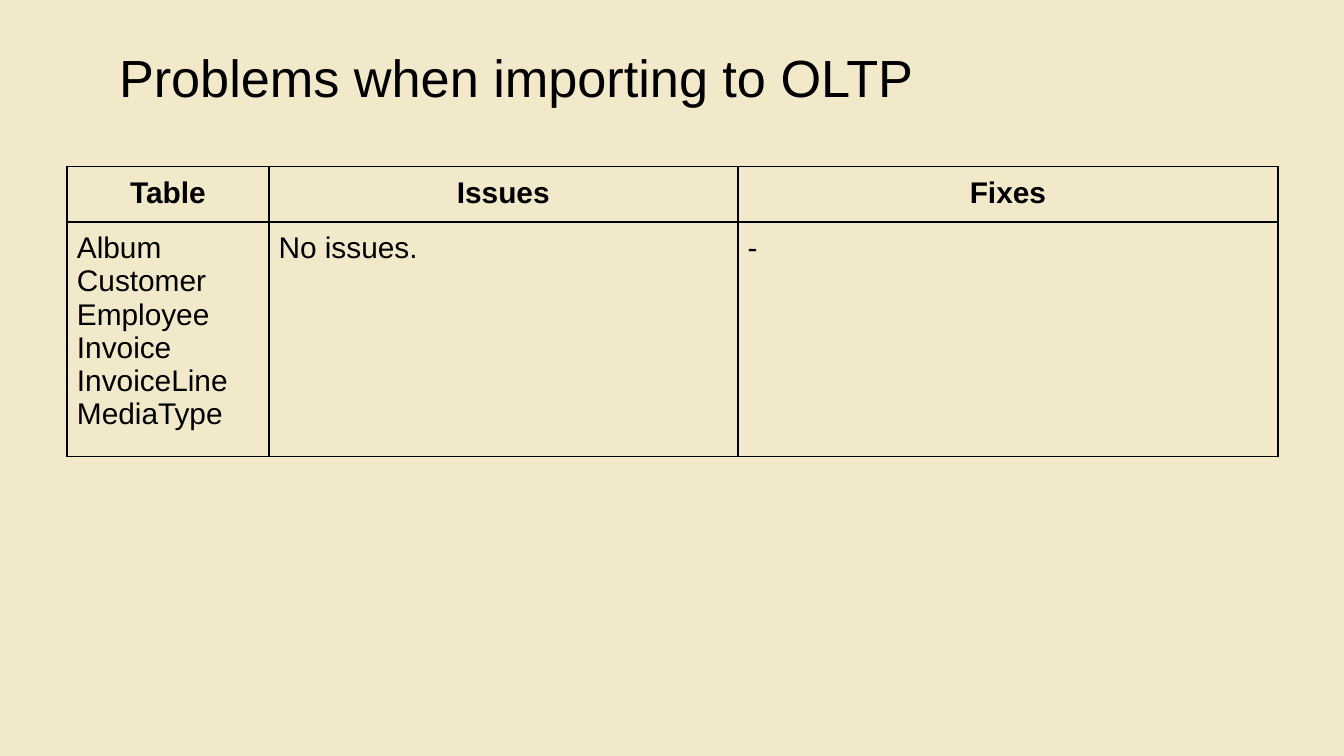
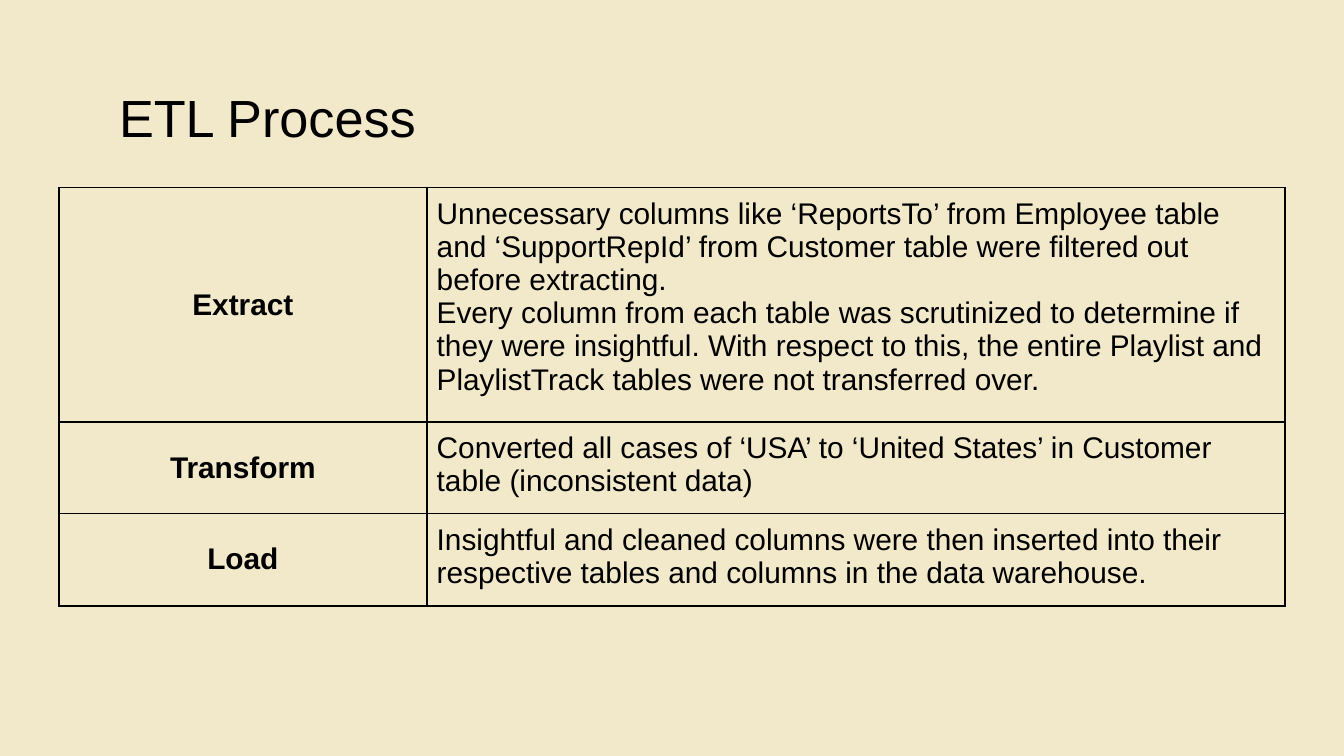
from dataclasses import dataclass

from lxml import etree
from pptx import Presentation
from pptx.dml.color import RGBColor
from pptx.enum.text import MSO_ANCHOR, PP_ALIGN
from pptx.oxml.ns import qn
from pptx.util import Emu, Pt

LEFT, CENTER = PP_ALIGN.LEFT, PP_ALIGN.CENTER
TOP, MIDDLE = MSO_ANCHOR.TOP, MSO_ANCHOR.MIDDLE

SAND = RGBColor(0xF2, 0xE9, 0xCA)
BLACK = RGBColor(0x00, 0x00, 0x00)
FONT = "Arial"
TITLE_SIZE, CELL_SIZE = Pt(28), Pt(16)
BORDER_WIDTH = Pt(1)

EMU_PER_PX = 9525
SLIDE_W, SLIDE_H = 960, 540
TITLE_X, TITLE_W, TITLE_H = 75, 809, 60
TITLE_INSET, CELL_INSET = 10, 7


@dataclass(frozen=True)
class Cell:
    lines: tuple[str, ...]
    heading: bool = False
    anchor: MSO_ANCHOR = TOP


@dataclass(frozen=True)
class TableSlide:
    title: str
    title_y: int
    x: int
    y: int
    height: int
    col_widths: tuple[int, ...]
    row_heights: tuple[int, ...]
    rows: tuple[tuple[Cell, ...], ...]


def column_head(text: str) -> Cell:
    return Cell((text,), heading=True)


def row_head(text: str) -> Cell:
    return Cell((text,), heading=True, anchor=MIDDLE)


def body(*lines: str) -> Cell:
    return Cell(lines)


SLIDES = (
    TableSlide(
        "Problems when importing to OLTP", 19,
        48, 119, 205, (144, 335, 386), (26, 49),
        (
            (column_head("Table"), column_head("Issues"), column_head("Fixes")),
            (
                body("Album", "Customer", "Employee", "Invoice", "InvoiceLine", "MediaType"),
                body("No issues."),
                body("-"),
            ),
        ),
    ),
    TableSlide(
        "ETL Process", 47,
        42, 134, 298, (263, 613), (125, 48, 66),
        (
            (
                row_head("Extract"),
                body(
                    "Unnecessary columns like ‘ReportsTo’ from Employee table and "
                    "‘SupportRepId’ from Customer table were filtered out before extracting.",
                    "Every column from each table was scrutinized to determine if they were "
                    "insightful. With respect to this, the entire Playlist and PlaylistTrack "
                    "tables were not transferred over.",
                ),
            ),
            (
                row_head("Transform"),
                body("Converted all cases of ‘USA’ to ‘United States’ in Customer table "
                     "(inconsistent data)"),
            ),
            (
                row_head("Load"),
                body("Insightful and cleaned columns were then inserted into their "
                     "respective tables and columns in the data warehouse."),
            ),
        ),
    ),
)


def px(n: int) -> Emu:
    return Emu(n * EMU_PER_PX)


def set_insets(target, n: int) -> None:
    """Give a text frame or table cell the same margin on all sides."""
    target.margin_left = target.margin_right = px(n)
    target.margin_top = target.margin_bottom = px(n)


def write_lines(tf, lines: tuple[str, ...], size: Pt, bold: bool, align: PP_ALIGN) -> None:
    tf.word_wrap = True
    for i, line in enumerate(lines):
        p = tf.paragraphs[0] if i == 0 else tf.add_paragraph()
        p.text = line
        p.alignment = align
        p.font.name = FONT
        p.font.size = size
        p.font.bold = bold
        p.font.color.rgb = BLACK


def add_title(s, text: str, y: int) -> None:
    tf = s.shapes.add_textbox(px(TITLE_X), px(y), px(TITLE_W), px(TITLE_H)).text_frame
    set_insets(tf, TITLE_INSET)
    write_lines(tf, (text,), TITLE_SIZE, False, LEFT)
    tf.paragraphs[0].line_spacing = 1.08


def set_borders(cell) -> None:
    """Outline a cell; borders must come before the fill in its properties."""
    tc_pr = cell._tc.get_or_add_tcPr()
    for i, side in enumerate(("a:lnL", "a:lnR", "a:lnT", "a:lnB")):
        ln = etree.Element(qn(side), w=str(BORDER_WIDTH))
        fill = etree.SubElement(ln, qn("a:solidFill"))
        etree.SubElement(fill, qn("a:srgbClr"), val=str(BLACK))
        tc_pr.insert(i, ln)


def fill_cell(cell, content: Cell) -> None:
    cell.fill.background()
    set_borders(cell)
    set_insets(cell, CELL_INSET)
    cell.vertical_anchor = content.anchor
    align = CENTER if content.heading else LEFT
    write_lines(cell.text_frame, content.lines, CELL_SIZE, content.heading, align)


def add_grid(s, spec_: TableSlide) -> None:
    frame = s.shapes.add_table(
        len(spec_.row_heights), len(spec_.col_widths),
        px(spec_.x), px(spec_.y), px(sum(spec_.col_widths)), px(spec_.height),
    )
    table = frame.table
    table.first_row = table.horz_banding = False
    for column, width in zip(table.columns, spec_.col_widths):
        column.width = px(width)
    for row, height, contents in zip(table.rows, spec_.row_heights, spec_.rows):
        row.height = px(height)
        for cell, content in zip(row.cells, contents):
            fill_cell(cell, content)
    frame.height = px(spec_.height)


def main() -> None:
    prs = Presentation()
    prs.slide_width, prs.slide_height = px(SLIDE_W), px(SLIDE_H)
    blank = prs.slide_layouts[6]
    for content in SLIDES:
        s = prs.slides.add_slide(blank)
        s.background.fill.solid()
        s.background.fill.fore_color.rgb = SAND
        add_title(s, content.title, content.title_y)
        add_grid(s, content)
    prs.save("out.pptx")


if __name__ == "__main__":
    main()
